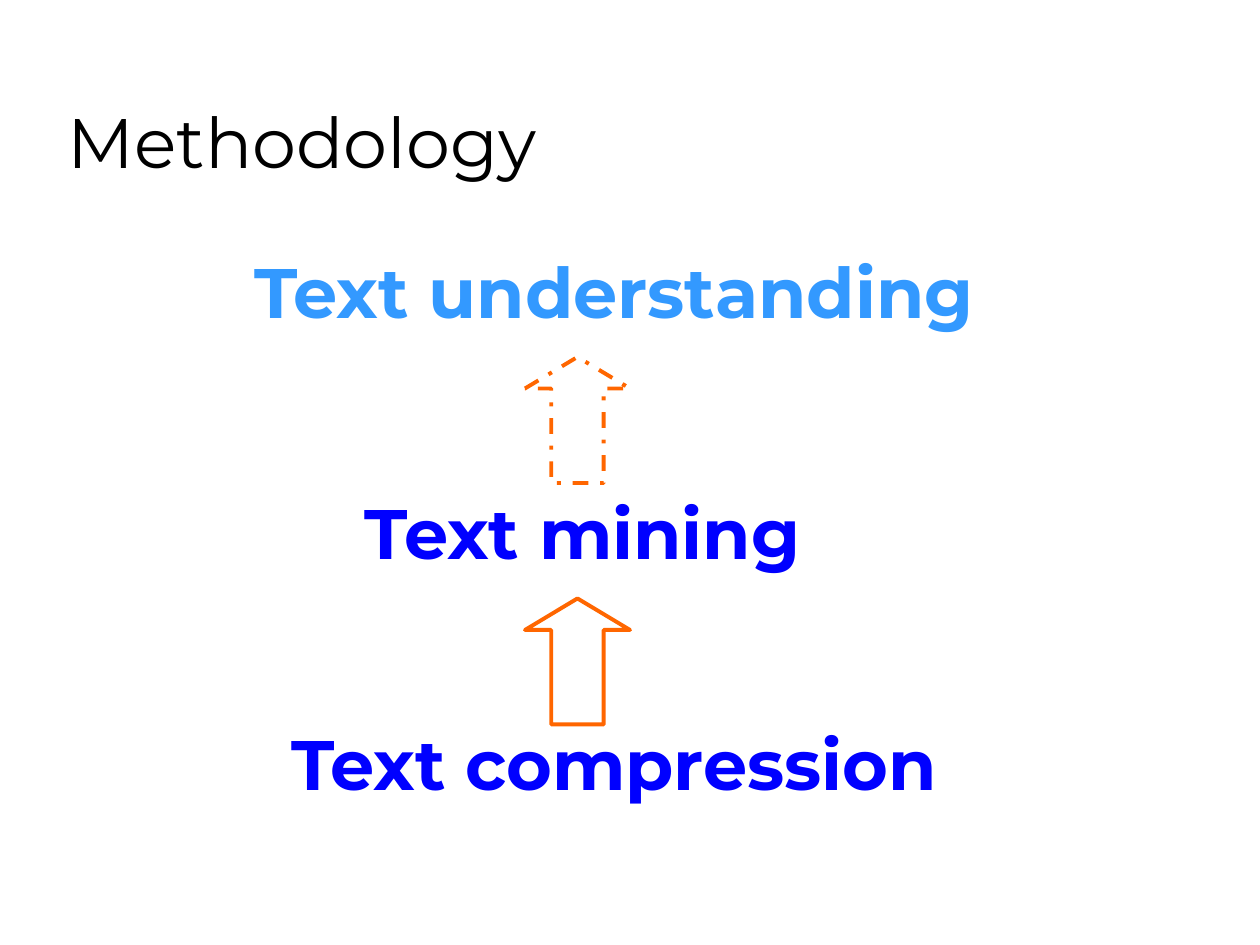
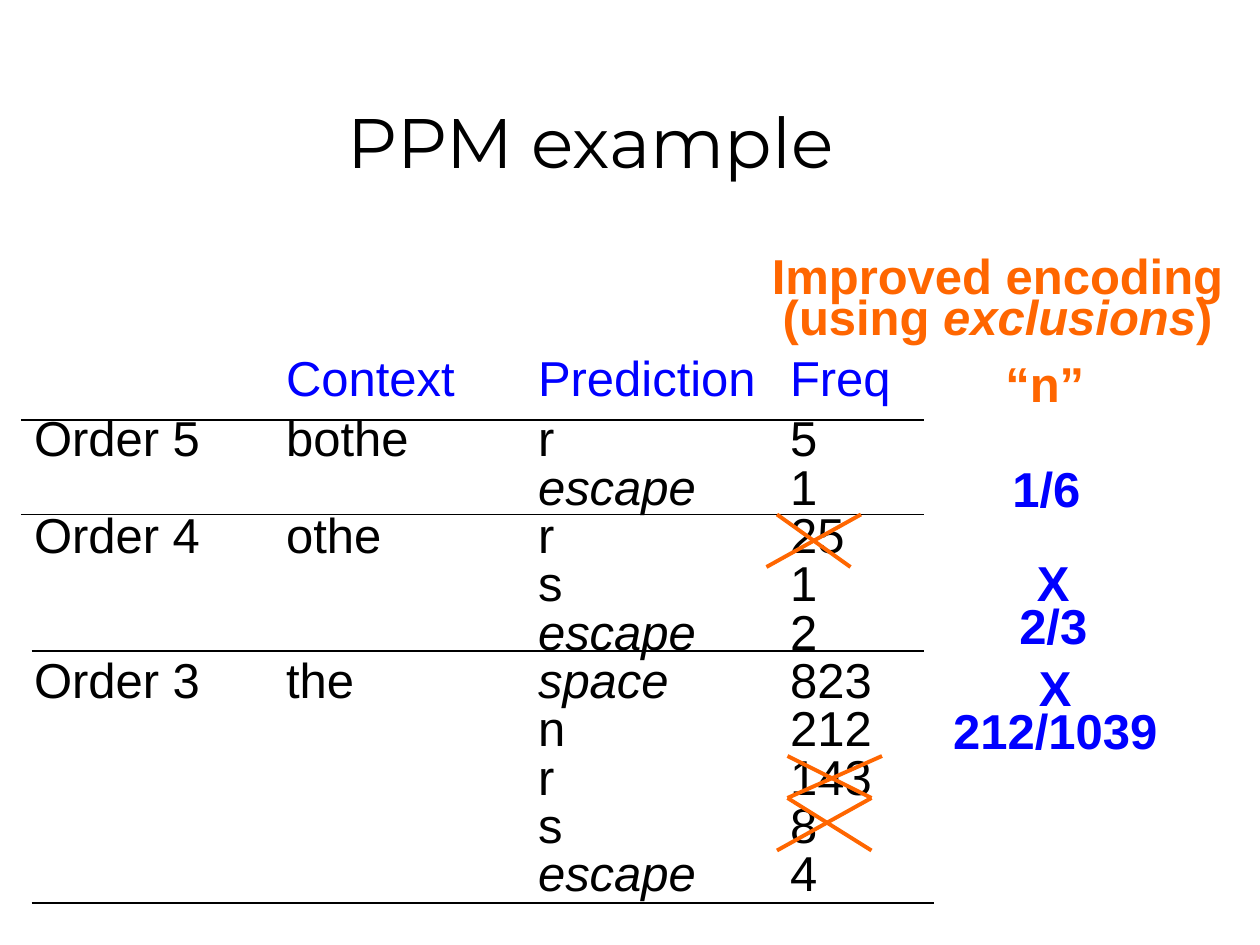
from lxml.etree import SubElement
from pptx import Presentation
from pptx.dml.color import RGBColor
from pptx.enum.dml import MSO_LINE
from pptx.enum.shapes import MSO_CONNECTOR, MSO_SHAPE
from pptx.enum.text import MSO_ANCHOR, MSO_AUTO_SIZE, PP_ALIGN
from pptx.oxml.ns import qn
from pptx.util import Emu, Pt

PX = 9525  # 96 px to the inch
INK = {"black": "000000", "white": "FFFFFF", "blue": "0000FF",
       "sky": "3399FF", "orange": "FF6600"}
HEAD, BODY = "Montserrat", "Arial"
TITLE_BOX = (42, 24, 816, 120)


def px(*nums):
    return [Emu(n * PX) for n in nums]


def rgb(name):
    return RGBColor.from_string(INK[name])


class Deck:
    def __init__(self):
        self.prs = Presentation()
        self.prs.slide_width, self.prs.slide_height = px(960, 720)
        self.slide = None

    def page(self, title, align=PP_ALIGN.LEFT):
        self.slide = self.prs.slides.add_slide(self.prs.slide_layouts[5])
        head = self.slide.shapes.title
        head.left, head.top, head.width, head.height = px(*TITLE_BOX)
        frame = head.text_frame
        frame.auto_size = MSO_AUTO_SIZE.NONE
        frame.vertical_anchor = MSO_ANCHOR.BOTTOM
        frame.paragraphs[0].alignment = align
        self.run(frame.paragraphs[0], title, HEAD, 40, "black")

    def run(self, para, text, face, size, color, bold=False, italic=False):
        run = para.add_run()
        run.text = text
        font = run.font
        font.name, font.size = face, Pt(size)
        font.bold, font.italic = bold, italic
        font.color.rgb = rgb(color)

    def text(self, box, face=BODY, size=28, fill=None):
        """Add an empty text box; return a function that adds one paragraph."""
        shape = self.slide.shapes.add_textbox(*px(*box))
        if fill:
            shape.fill.solid()
            shape.fill.fore_color.rgb = rgb(fill)
        frame = shape.text_frame
        frame.word_wrap = True
        frame.auto_size = MSO_AUTO_SIZE.SHAPE_TO_FIT_TEXT
        frame.vertical_anchor = MSO_ANCHOR.MIDDLE
        frame.margin_left = frame.margin_right = Pt(1.5)
        blank = [frame.paragraphs[0]]

        def add(*runs, color="blue", lead=None, before=10.7, bold=True,
                align=PP_ALIGN.CENTER, tabs=()):
            """Each run is a string, or (string, True) for italics."""
            para = blank.pop() if blank else frame.add_paragraph()
            para.alignment, para.space_before = align, Pt(before)
            if lead:
                para.line_spacing = lead
            if tabs:
                stops = SubElement(para._p.get_or_add_pPr(), qn("a:tabLst"))
                for pos in px(*tabs):
                    SubElement(stops, qn("a:tab"), pos=str(pos), algn="l")
            for part in runs:
                words, italic = (part, False) if isinstance(part, str) else part
                self.run(para, words, face, size, color, bold, italic)

        return add

    def arrow(self, box, dash=None):
        shape = self.slide.shapes.add_shape(MSO_SHAPE.UP_ARROW, *px(*box))
        shape.shadow.inherit = False
        shape.adjustments[0], shape.adjustments[1] = 0.5, 0.3
        shape.fill.solid()
        shape.fill.fore_color.rgb = rgb("white")
        shape.line.color.rgb = rgb("orange")
        shape.line.width = Pt(2.25)
        if dash:
            shape.line.dash_style = dash

    def line(self, ends, color="black", width=0.75):
        link = self.slide.shapes.add_connector(MSO_CONNECTOR.STRAIGHT, *px(*ends))
        link.line.color.rgb = rgb(color)
        link.line.width = Pt(width)
        SubElement(link._element.spPr, qn("a:effectLst"))


def method(deck):
    deck.page("Methodology")
    steps = [("Text compression", 112, 544, "blue"),
             ("Text mining", 88, 368, "blue"),
             ("Text understanding", 112, 184, "sky")]
    for words, left, top, color in steps:
        deck.text((left, top, 712, 74), HEAD, 40)(words, color=color)
    for top, dash in ((456, None), (272, MSO_LINE.DASH_DOT)):
        deck.arrow((400, top, 80, 96), dash)


def example(deck):
    deck.page("PPM example", PP_ALIGN.CENTER)
    orders = [("Order 5", "bothe", [("r", 5), ("escape", 1)]),
              ("Order 4", "othe", [("r", 25), ("s", 1), ("escape", 2)]),
              ("Order 3", "the", [("space", 823), ("n", 212), ("r", 143),
                                  ("s", 8), ("escape", 4)])]
    style = dict(before=17.5, bold=False, align=PP_ALIGN.LEFT,
                 tabs=(192, 384, 576))
    add = deck.text((24, 260, 680, 427))
    add("\tContext\tPrediction\tFreq", **style)
    lead = 0.4
    for order, context, guesses in orders:
        start = f"{order}\t{context}\t"
        for guess, freq in guesses:
            add(start, (guess, len(guess) > 1), f"\t{freq}",
                color="black", lead=lead, **style)
            start, lead = "\t\t", 0.3

    for left, right, y in ((24, 704, 496), (24, 712, 688),
                           (16, 704, 392), (16, 704, 320)):
        deck.line((left, y, right, y))

    deck.text((576, 194, 368, 73))(
        "Improved encoding (using ", ("exclusions", True), ")",
        color="orange", lead=0.7)
    deck.text((744, 264, 104, 55), fill="white")("“n”", color="orange")
    deck.text((760, 344, 85, 55))("1/6 ")
    for box, odds in (((760, 416, 85, 83), "2/3"),
                      ((712, 496, 184, 83), "212/1039")):
        add = deck.text(box)
        add("X")
        add(odds, lead=0.3)

    # Each cross: top, bottom, then the x ends of its two strokes
    crosses = [(392, 432, (656, 584), (592, 648)),
               (576, 608, (672, 600), (600, 664)),
               (608, 648, (664, 592), (600, 664))]
    for top, low, *strokes in crosses:
        for start, end in strokes:
            deck.line((start, top, end, low), "orange", 2.25)


def main():
    deck = Deck()
    method(deck)
    example(deck)
    deck.prs.save("out.pptx")


if __name__ == "__main__":
    main()
